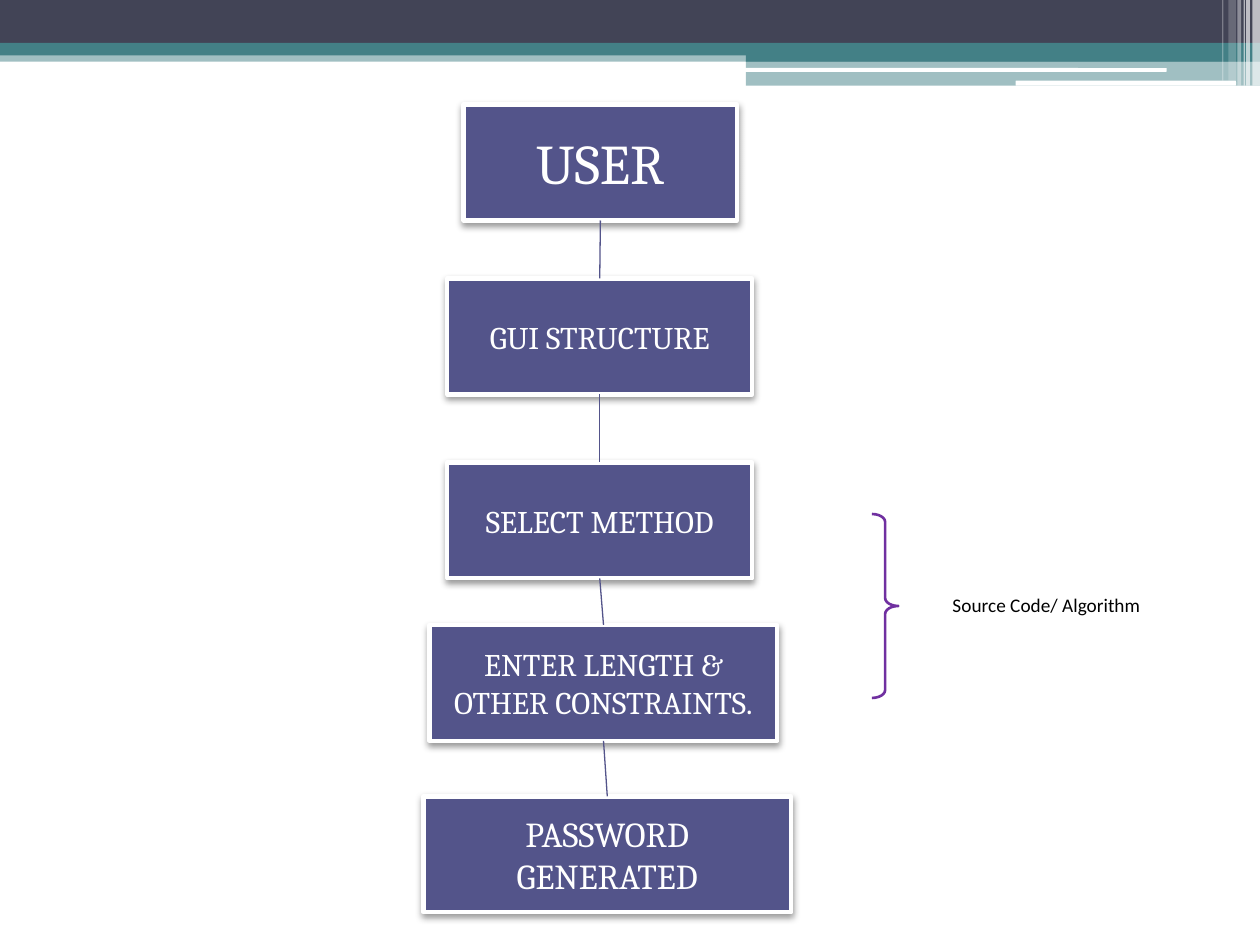
from lxml.etree import SubElement
from pptx import Presentation
from pptx.dml.color import RGBColor
from pptx.enum.shapes import MSO_CONNECTOR, MSO_SHAPE
from pptx.enum.text import MSO_ANCHOR, PP_ALIGN
from pptx.oxml.ns import qn
from pptx.util import Inches, Pt

DARK, TEAL, WHITE, INDIGO, PURPLE = "424456", "438086", "FFFFFF", "53548A", "7030A0"

presentation = Presentation()
presentation.slide_width = Inches(10)
presentation.slide_height = Inches(7.5)
slide = presentation.slides.add_slide(presentation.slide_layouts[6])


def color(hex_string):
    return RGBColor.from_string(hex_string)


def add_box(kind, left, top, width, height, fill, alpha=100):
    shape = slide.shapes.add_shape(
        kind, Inches(left), Inches(top), Inches(width), Inches(height))
    shape.shadow.inherit = False
    shape.line.fill.background()
    shape.fill.solid()
    shape.fill.fore_color.rgb = color(fill)
    if alpha < 100:
        fill_color = shape._element.spPr.find(qn("a:solidFill"))[0]
        SubElement(fill_color, qn("a:alpha"), val=str(alpha * 1000))
    frame = shape.text_frame
    frame.word_wrap = True
    frame.margin_left = frame.margin_right = Inches(0.05)
    frame.margin_top = frame.margin_bottom = Inches(0.05)
    return shape


# Header bands: left, top, width, height, colour, opacity
for band in [
    (0, 0.4, 10, 0.09, TEAL, 50),
    (0, 0, 10, 0.34, DARK, 100),
    (0, 0.34, 10, 0.1, TEAL, 100),
    (5.92, 0.39, 4.08, 0.1, TEAL, 100),
    (5.92, 0.48, 4.08, 0.2, TEAL, 50),
]:
    add_box(MSO_SHAPE.RECTANGLE, *band)

# White rules under the header
for rule in [(5.91, 0.54, 3.35, 0.03), (8.06, 0.64, 1.75, 0.04)]:
    add_box(MSO_SHAPE.ROUNDED_RECTANGLE, *rule, WHITE)

# Translucent stripes in the corner: left, width, height, opacity
for left, width, height, alpha in [
    (9.94, 0.06, 0.68, 65),
    (9.89, 0.03, 0.68, 65),
    (9.87, 0.01, 0.68, 60),
    (9.82, 0.03, 0.68, 40),
    (9.75, 0.06, 0.64, 20),
    (9.7, 0.01, 0.64, 30),
]:
    add_box(MSO_SHAPE.RECTANGLE, left, 0, width, height, WHITE, alpha)

# Flow steps: left, top, width, text size, lines
steps = []
for left, top, width, size, lines in [
    (3.68, 0.83, 2.17, 32, ["USER"]),
    (3.55, 2.21, 2.42, 18, ["GUI STRUCTURE"]),
    (3.55, 3.67, 2.42, 18, ["SELECT METHOD"]),
    (3.41, 4.96, 2.76, 18, ["ENTER LENGTH & OTHER CONSTRAINTS."]),
    (3.36, 6.32, 2.92, 20, ["PASSWORD", "GENERATED"]),
]:
    step = add_box(MSO_SHAPE.RECTANGLE, left, top, width, 0.92, INDIGO)
    step.line.color.rgb = color(WHITE)
    step.line.width = Pt(2.5)
    effects = step._element.spPr.find(qn("a:effectLst"))
    shadow = SubElement(
        effects, qn("a:outerShdw"), blurRad=str(Pt(4)), dist=str(Pt(2)),
        dir="5400000", rotWithShape="0")
    shadow_color = SubElement(shadow, qn("a:srgbClr"), val="000000")
    SubElement(shadow_color, qn("a:alpha"), val="40000")
    frame = step.text_frame
    frame.vertical_anchor = MSO_ANCHOR.MIDDLE
    for index, line in enumerate(lines):
        paragraph = frame.add_paragraph() if index else frame.paragraphs[0]
        paragraph.alignment = PP_ALIGN.CENTER
        run = paragraph.add_run()
        run.text = line
        run.font.name = "Cambria"
        run.font.size = Pt(size)
        run.font.color.rgb = color(WHITE)
    steps.append(step)

# Lines from each step to the next
for upper, lower in zip(steps, steps[1:]):
    connector = slide.shapes.add_connector(MSO_CONNECTOR.STRAIGHT, 0, 0, 0, 0)
    connector.begin_connect(upper, 2)
    connector.end_connect(lower, 0)
    connector.line.color.rgb = color(INDIGO)
    connector.line.width = Pt(0.75)
    SubElement(connector._element.spPr, qn("a:effectLst"))

# Brace beside the algorithm steps
brace = add_box(MSO_SHAPE.RIGHT_BRACE, 6.92, 4.08, 0.21, 1.46, WHITE)
brace.fill.background()
brace.adjustments[0] = 0.3
brace.line.color.rgb = color(PURPLE)
brace.line.width = Pt(1.5)

# Brace label
label = add_box(MSO_SHAPE.RECTANGLE, 7.51, 4.63, 1.77, 0.32, WHITE)
label.text_frame.vertical_anchor = MSO_ANCHOR.TOP
paragraph = label.text_frame.paragraphs[0]
paragraph.alignment = PP_ALIGN.LEFT
paragraph.line_spacing = 1.15
run = paragraph.add_run()
run.text = "Source Code/ Algorithm"
run.font.name = "Calibri"
run.font.size = Pt(11)
run.font.color.rgb = color("000000")

presentation.save("out.pptx")
